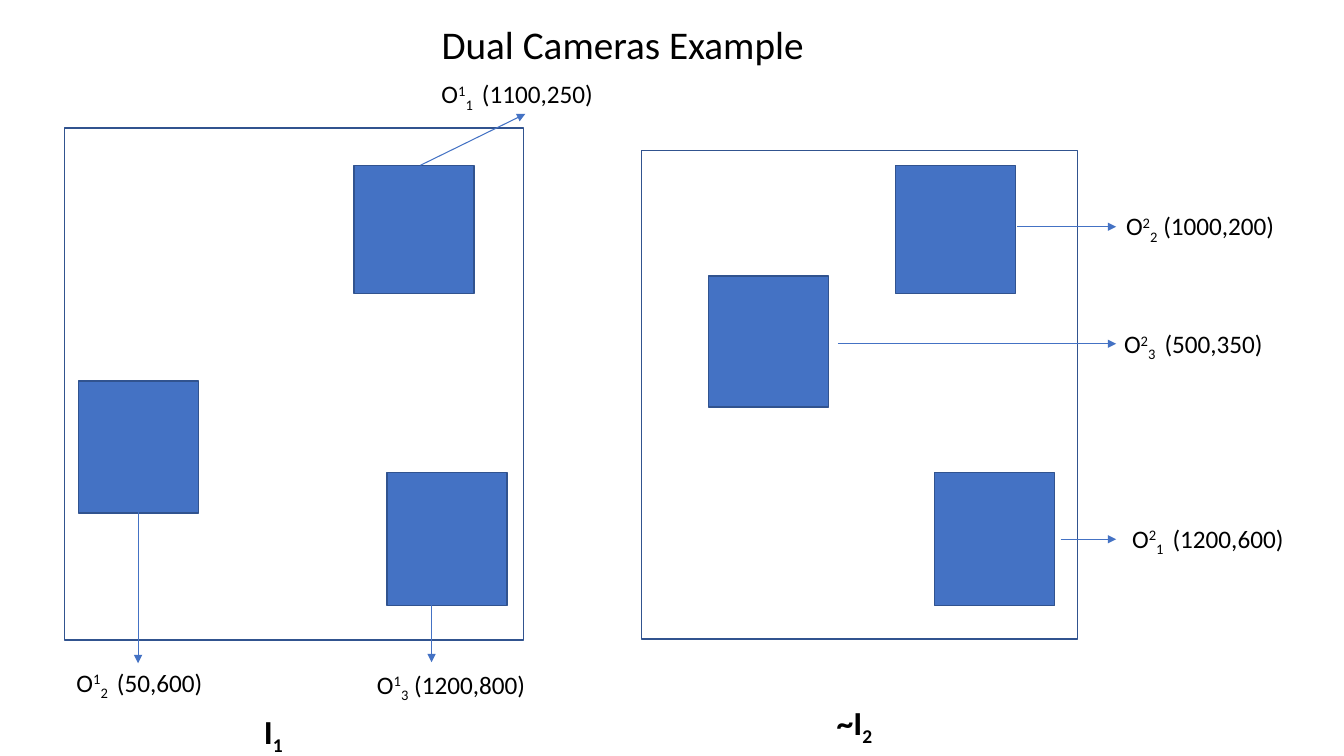
from dataclasses import dataclass

from lxml.etree import SubElement
from pptx import Presentation
from pptx.dml.color import RGBColor
from pptx.enum.shapes import MSO_CONNECTOR, MSO_SHAPE
from pptx.enum.text import MSO_ANCHOR, MSO_AUTO_SIZE, PP_ALIGN
from pptx.oxml.ns import qn
from pptx.util import Inches, Pt


@dataclass(frozen=True)
class Theme:
    """Colours, font and type sizes of the slide."""
    font: str = "Calibri"
    ink: RGBColor = RGBColor(0, 0, 0)
    paper: RGBColor = RGBColor(255, 255, 255)
    blue: RGBColor = RGBColor(0x44, 0x72, 0xC4)
    edge: RGBColor = RGBColor(0x31, 0x53, 0x8F)
    title: int = 28
    head: int = 24
    label: int = 18


class Board:
    """Draws on one slide, in a grid of ten cells to the inch."""

    def __init__(self, deck, theme):
        """Add a title-only slide to the deck."""
        self.theme = theme
        self.slide = deck.slides.add_slide(deck.slide_layouts[5])
        self.shapes = self.slide.shapes

    def grid(self, *cells):
        """Turn grid cells into lengths."""
        return [Inches(cell / 10) for cell in cells]

    def apply(self, item, **values):
        """Set each named value on the item."""
        for name, value in values.items():
            setattr(item, name, value)

    def box(self, at, fill):
        """Draw an outlined rectangle."""
        box = self.shapes.add_shape(MSO_SHAPE.RECTANGLE, *self.grid(*at))
        box.shadow.inherit = False
        box.fill.solid()
        box.fill.fore_color.rgb = fill
        box.line.color.rgb = self.theme.edge
        box.line.width = Pt(1)

    def arrow(self, *ends):
        """Draw a thin line with a head at its end."""
        line = self.shapes.add_connector(MSO_CONNECTOR.STRAIGHT, *self.grid(*ends))
        line.line.color.rgb = self.theme.blue
        line.line.width = Pt(0.75)
        props = line.element.spPr
        SubElement(props.find(qn("a:ln")), qn("a:tailEnd"), type="triangle")
        SubElement(props, qn("a:effectLst"))

    def letter(self, shape, runs, size, bold=False, align=PP_ALIGN.LEFT):
        """Fill a shape with runs of text and baseline shift."""
        frame = shape.text_frame
        pad_x, pad_y = self.grid(1, 0.5)
        self.apply(frame, word_wrap=align == PP_ALIGN.LEFT,
                   auto_size=MSO_AUTO_SIZE.NONE, vertical_anchor=MSO_ANCHOR.TOP,
                   margin_left=pad_x, margin_right=pad_x,
                   margin_top=pad_y, margin_bottom=pad_y)
        para = frame.paragraphs[0]
        para.alignment = align
        for text, shift in runs:
            run = para.add_run()
            run.text = text
            self.apply(run.font, name=self.theme.font, size=Pt(size), bold=bold)
            run.font.color.rgb = self.theme.ink
            if shift:
                run.font._element.set("baseline", str(shift * 1000))

    def text(self, at, runs, size, **style):
        """Add a text box."""
        self.letter(self.shapes.add_textbox(*self.grid(*at)), runs, size, **style)

    def title(self, at, text):
        """Place and fill the title."""
        title = self.shapes.title
        names = ("left", "top", "width", "height")
        self.apply(title, **dict(zip(names, self.grid(*at))))
        self.letter(title, [(text, 0)], self.theme.title)

    def label(self, left, top, width, view, item, point):
        """Name an object by view, number and point."""
        runs = [("O", 0), (view, 30), (item, -25), (f" {point}", 0)]
        self.text((left, top, width, 4), runs, self.theme.label)

    def head(self, at, name, index):
        """Name a camera view."""
        self.text(at, [(name, 0), (index, -25)], self.theme.head,
                  bold=True, align=PP_ALIGN.CENTER)


FRAMES = [(6.4, 12.7, 45.5, 50.8), (63.6, 14.9, 43.3, 48.5)]
SIDE = 11.9
BLOCKS = [(35.1, 16.4, 12.7), (7.8, 37.8, 13.1), (38.4, 46.9, 13.2),
          (92.7, 46.9, 13.2), (70.3, 27.4, 13), (88.8, 16.4, 12.7)]
TIP = 110.7
ARROWS = [(41.7, 16.4, 52.1, 11.3), (13.7, 48.1, 13.7, 65.8),
          (42.8, 54.9, 42.8, 65.7), (83.1, 34.1, TIP, 34.1),
          (100.9, 22.5, TIP, 22.5), (105.2, 53.5, TIP, 53.5)]
LABELS = [(42.8, 7.3, 18.7, "1", "1 ", "(1100,250)"),
          (6.6, 65.7, 14.9, "1", "2 ", "(50,600)"),
          (36.4, 65.9, 17.1, "1", "3", "(1200,800)"),
          (110.7, 20.4, 17.1, "2", "2", "(1000,200)"),
          (110.5, 32.1, 16.2, "2", "3 ", "(500,350)"),
          (111.3, 51.4, 17.5, "2", "1 ", "(1200,600)")]
HEADS = [((19.7, 70, 14.8, 5), "I", "1"), ((81.9, 69.1, 5.7, 5), "~I", "2")]


def main():
    """Build and save the slide."""
    deck = Presentation()
    deck.slide_width, deck.slide_height = Inches(13.33), Inches(7.5)
    theme = Theme()
    board = Board(deck, theme)
    board.title((42.8, 1.5, 55.5, 5.7), "Dual Cameras Example")
    for frame in FRAMES:
        board.box(frame, theme.paper)
    for left, top, height in BLOCKS:
        board.box((left, top, SIDE, height), theme.blue)
    for ends in ARROWS:
        board.arrow(*ends)
    for label in LABELS:
        board.label(*label)
    for head in HEADS:
        board.head(*head)
    deck.save("out.pptx")


if __name__ == "__main__":
    main()
